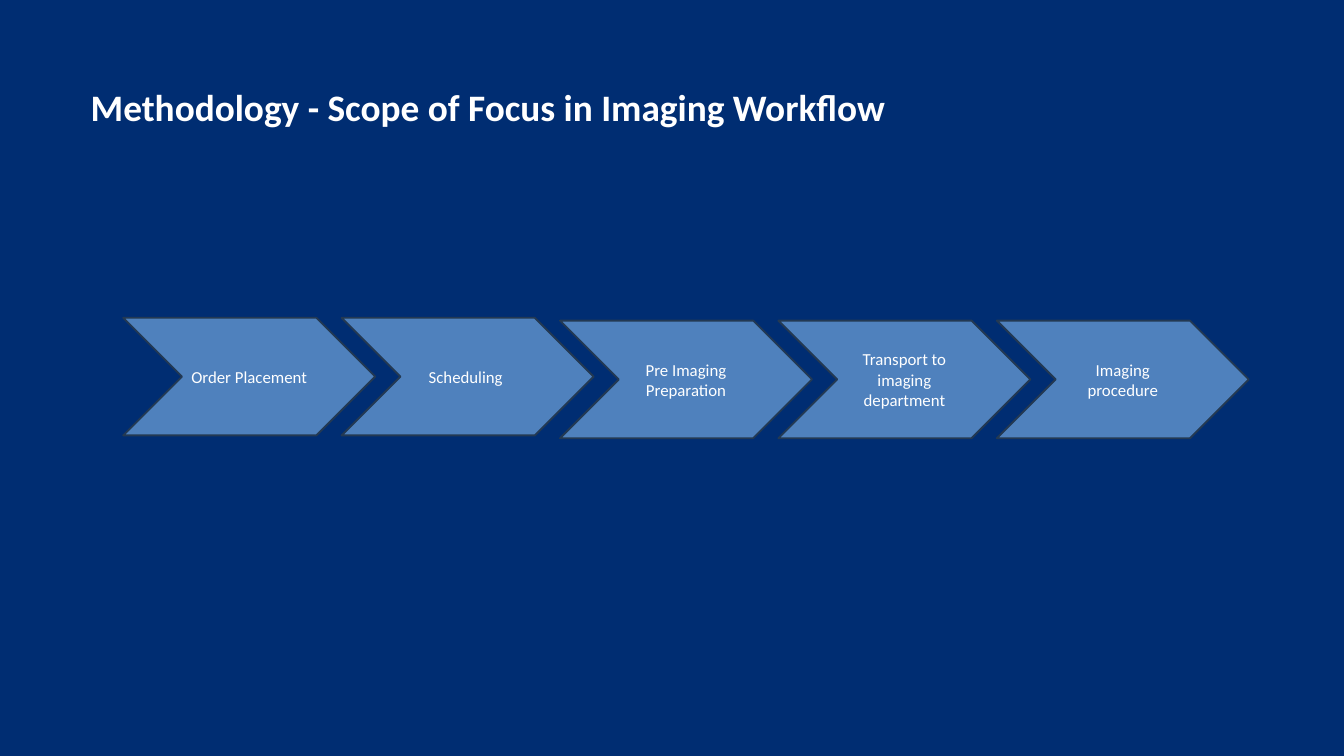
from dataclasses import dataclass

from pptx import Presentation
from pptx.dml.color import RGBColor
from pptx.enum.shapes import MSO_SHAPE
from pptx.enum.text import MSO_ANCHOR as Anchor, MSO_AUTO_SIZE as AutoSize, PP_ALIGN as Align
from pptx.slide import Slide
from pptx.text.text import TextFrame
from pptx.util import Pt

NAVY = RGBColor(0x00, 0x2D, 0x72)
STEP_BLUE = RGBColor(0x4F, 0x81, 0xBD)
OUTLINE = RGBColor(0x23, 0x39, 0x53)
WHITE = RGBColor(0xFF, 0xFF, 0xFF)

FIRST_LEFT, PITCH = 132, 234
STEP_WIDTH, STEP_HEIGHT = 270, 126
UPPER_TOP, LOWER_TOP = 340.5, 343.5


@dataclass(frozen=True)
class Step:
    label: str
    top: float


STEPS = [
    Step("Order Placement", UPPER_TOP),
    Step("Scheduling ", UPPER_TOP),
    Step("Pre Imaging Preparation", LOWER_TOP),
    Step("Transport to imaging department", LOWER_TOP),
    Step("Imaging procedure", LOWER_TOP),
]


def write(frame: TextFrame, text: str, *, size: float, bold: bool = False,
          align: Align = Align.LEFT, anchor: Anchor = Anchor.TOP,
          auto_size: AutoSize = AutoSize.NONE) -> None:
    frame.word_wrap = True
    frame.auto_size = auto_size
    frame.vertical_anchor = anchor
    paragraph = frame.paragraphs[0]
    paragraph.alignment = align
    run = paragraph.add_run()
    run.text = text
    run.font.name = "Calibri"
    run.font.size = Pt(size)
    run.font.bold = bold
    run.font.color.rgb = WHITE


def draw_step(slide: Slide, step: Step, left: float) -> None:
    chevron = slide.shapes.add_shape(MSO_SHAPE.CHEVRON, Pt(left), Pt(step.top),
                                     Pt(STEP_WIDTH), Pt(STEP_HEIGHT))
    chevron.shadow.inherit = False
    chevron.fill.solid()
    chevron.fill.fore_color.rgb = STEP_BLUE
    chevron.line.color.rgb = OUTLINE
    chevron.line.width = Pt(2)
    write(chevron.text_frame, step.label, size=18, align=Align.CENTER, anchor=Anchor.MIDDLE)


def main() -> None:
    deck = Presentation()
    deck.slide_width, deck.slide_height = Pt(1440), Pt(810)
    slide = deck.slides.add_slide(deck.slide_layouts[5])
    slide.background.fill.solid()
    slide.background.fill.fore_color.rgb = NAVY

    heading = slide.shapes.title
    heading.left, heading.top = Pt(90), Pt(87)
    heading.width, heading.height = Pt(1290), Pt(55.5)
    write(heading.text_frame, "Methodology - Scope of Focus in Imaging Workflow",
          size=40, bold=True, auto_size=AutoSize.SHAPE_TO_FIT_TEXT)

    # The last step lies at the back, the first in front.
    for index, step in reversed(list(enumerate(STEPS))):
        draw_step(slide, step, FIRST_LEFT + index * PITCH)

    deck.save("out.pptx")


if __name__ == "__main__":
    main()
